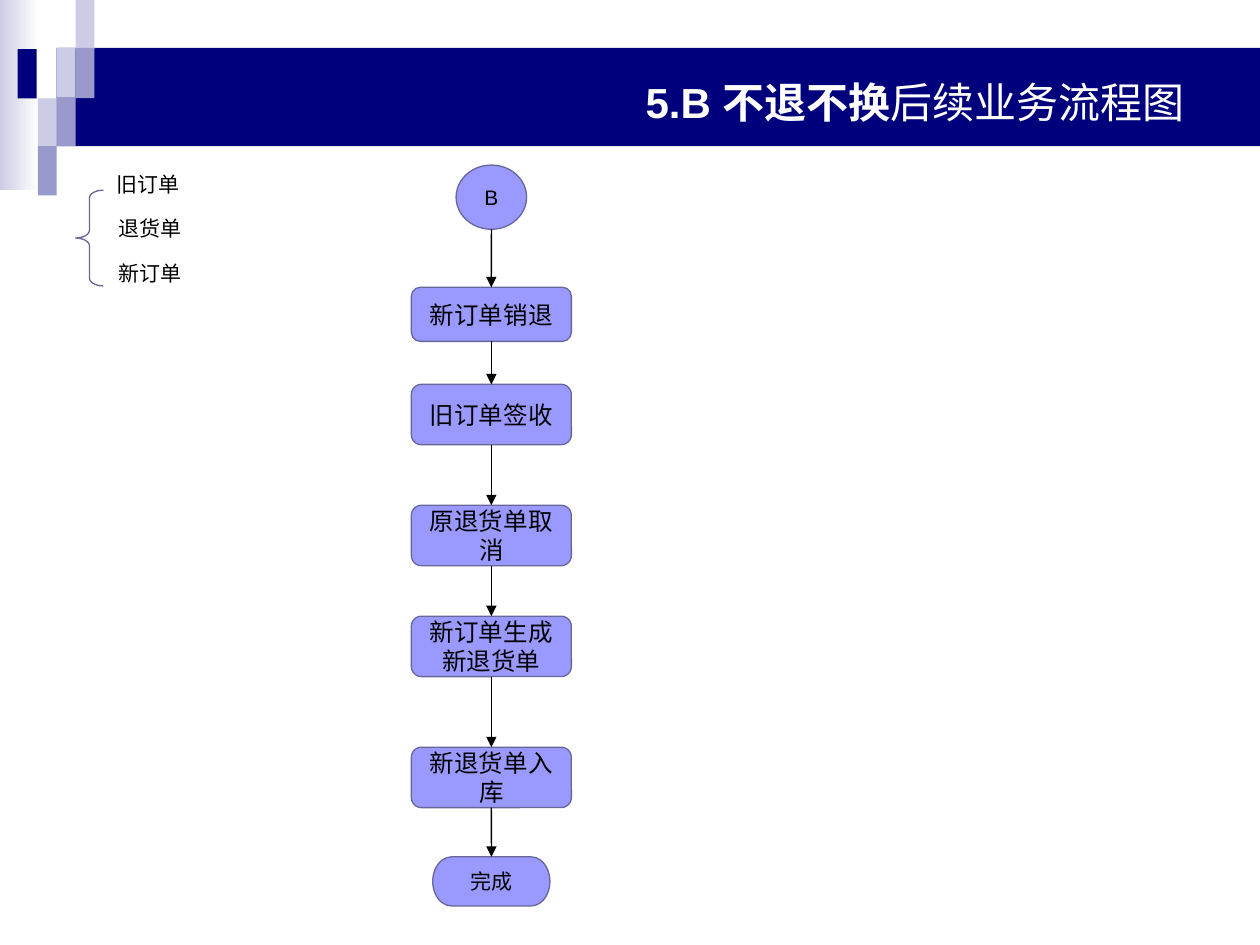
import pptx
import pptx.util
import pptx.dml.color
import pptx.enum.shapes
import pptx.enum.text
import pptx.oxml
import lxml.etree
from dataclasses import dataclass

Inches = pptx.util.Inches
SHAPE = pptx.enum.shapes.MSO_SHAPE
ALIGN = pptx.enum.text.PP_ALIGN
ANCHOR = pptx.enum.text.MSO_ANCHOR


@dataclass(frozen=True)
class Theme:
    font: str = "Arial"
    navy: str = "00007D"
    pale: str = "CCCCE6"
    mid: str = "9999CC"
    node: str = "9999FF"
    outline: str = "666699"
    white: str = "FFFFFF"
    black: str = "000000"
    title_size: int = 24
    step_size: int = 14
    small_size: int = 12
    line: float = 0.75


THEME = Theme()

TITLE = [("5.B 不退不换", True), ("后续业务流程图", False)]
ORDERS = [("旧订单", 0.83), ("退货单", 0.84), ("新订单", 0.84)]
ORDERS_TOP, ORDERS_PITCH = 1.31, 0.355

BANNER = [
    (0.45, 0.38, 9.55, 0.78, THEME.navy),
    (0.45, 0.38, 0.15, 0.4, THEME.pale),
    (0.6, 0, 0.15, 0.39, THEME.pale),
    (0.6, 0.38, 0.15, 0.4, THEME.mid),
    (0.3, 0.78, 0.15, 0.39, THEME.pale),
    (0.14, 0.39, 0.15, 0.39, THEME.navy),
    (0.45, 0.77, 0.15, 0.39, THEME.mid),
    (0.3, 1.16, 0.15, 0.39, THEME.mid),
]

FLOW_CENTER = 3.9
CIRCLE = (SHAPE.FLOWCHART_CONNECTOR, 0.56, THEME.small_size)
STEP = (SHAPE.FLOWCHART_ALTERNATE_PROCESS, 1.27, THEME.step_size)
END = (SHAPE.FLOWCHART_TERMINATOR, 0.93, THEME.small_size)
FLOW = [
    ("B", CIRCLE, 1.31, 0.51),
    ("新订单销退", STEP, 2.28, 0.43),
    ("旧订单签收", STEP, 3.05, 0.48),
    ("原退货单取消", STEP, 4.01, 0.48),
    ("新订单生成新退货单", STEP, 4.89, 0.48),
    ("新退货单入库", STEP, 5.93, 0.48),
    ("完成", END, 6.8, 0.39),
]


def rgb(value):
    return pptx.dml.color.RGBColor.from_string(value)


def style_run(run, size, color, bold=False):
    run.font.name = THEME.font
    run.font.size = pptx.util.Pt(size)
    run.font.color.rgb = rgb(color)
    run.font.bold = bold


def add_figure(slide, kind, left, top, width, height, fill=None, line=None):
    figure = slide.shapes.add_shape(kind, *map(Inches, (left, top, width, height)))
    figure.shadow.inherit = False
    if fill:
        figure.fill.solid()
        figure.fill.fore_color.rgb = rgb(fill)
    else:
        figure.fill.background()
    if line:
        figure.line.color.rgb = rgb(line)
        figure.line.width = pptx.util.Pt(THEME.line)
    else:
        figure.line.fill.background()
    return figure


def add_banner(slide):
    fade = add_figure(slide, SHAPE.RECTANGLE, 0, 0, 0.31, 1.51)
    fade.fill.gradient()
    fade.fill.gradient_angle = 180
    for stop, color in zip(fade.fill.gradient_stops, (THEME.white, THEME.pale)):
        stop.color.rgb = rgb(color)
    for left, top, width, height, color in BANNER:
        add_figure(slide, SHAPE.RECTANGLE, left, top, width, height, color)


def add_title(slide):
    title = slide.shapes.add_textbox(*map(Inches, (0.5, 0.3, 9, 1.01)))
    title.text_frame.word_wrap = True
    title.text_frame.vertical_anchor = ANCHOR.MIDDLE
    heading = title.text_frame.paragraphs[0]
    heading.alignment = ALIGN.RIGHT
    for words, bold in TITLE:
        run = heading.add_run()
        run.text = words
        style_run(run, THEME.title_size, THEME.white, bold)


def add_orders(slide):
    brace = add_figure(slide, SHAPE.LEFT_BRACE, 0.6, 1.51, 0.22, 0.76, line=THEME.outline)
    brace.adjustments[0] = 0.28
    for index, (words, left) in enumerate(ORDERS):
        top = ORDERS_TOP + index * ORDERS_PITCH
        order = slide.shapes.add_textbox(*map(Inches, (left, top, 0.7, 0.3)))
        order.text_frame.word_wrap = False
        order.text_frame.text = words
        style_run(order.text_frame.paragraphs[0].runs[0], THEME.small_size, THEME.black)


def add_node(slide, words, look, top, height):
    kind, width, size = look
    node = add_figure(slide, kind, FLOW_CENTER - width / 2, top, width, height,
                      THEME.node, THEME.outline)
    frame = node.text_frame
    frame.word_wrap = True
    frame.vertical_anchor = ANCHOR.MIDDLE
    frame.text = words
    frame.paragraphs[0].alignment = ALIGN.CENTER
    style_run(frame.paragraphs[0].runs[0], size, THEME.black)
    return node


def add_arrow(slide, source, target):
    center = Inches(FLOW_CENTER)
    arrow = slide.shapes.add_connector(
        pptx.enum.shapes.MSO_CONNECTOR.STRAIGHT,
        center, source.top + source.height, center, target.top)
    if source.auto_shape_type != SHAPE.FLOWCHART_CONNECTOR:
        arrow.begin_connect(source, 2)
    arrow.end_connect(target, 0)
    arrow.line.color.rgb = rgb(THEME.black)
    arrow.line.width = pptx.util.Pt(THEME.line)
    head = lxml.etree.SubElement(arrow.line._get_or_add_ln(), pptx.oxml.ns.qn("a:tailEnd"))
    head.set("type", "triangle")
    lxml.etree.SubElement(arrow._element.spPr, pptx.oxml.ns.qn("a:effectLst"))


def main():
    """Build the follow-up process flow slide for orders kept without return or exchange."""
    deck = pptx.Presentation()
    deck.slide_width, deck.slide_height = Inches(10), Inches(7.5)
    slide = deck.slides.add_slide(deck.slide_layouts[6])
    add_banner(slide)
    add_title(slide)
    add_orders(slide)
    nodes = [add_node(slide, *entry) for entry in FLOW]
    for source, target in zip(nodes, nodes[1:]):
        add_arrow(slide, source, target)
    deck.save("out.pptx")


if __name__ == "__main__":
    main()
